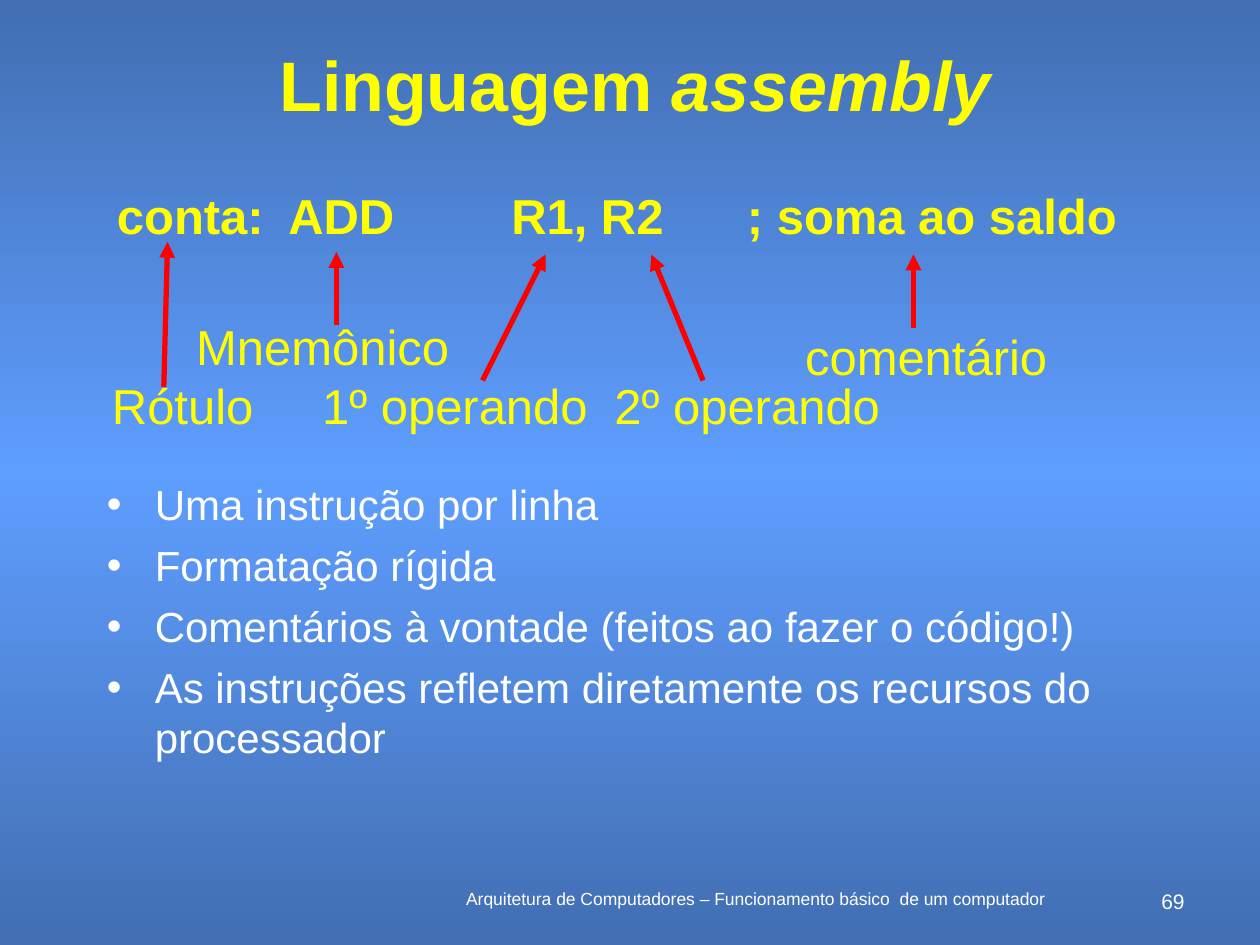
"""Build the slide on the parts of an assembly language instruction."""
from copy import deepcopy

from lxml.etree import SubElement
from pptx import Presentation
from pptx.dml.color import RGBColor
from pptx.enum.shapes import MSO_CONNECTOR
from pptx.enum.text import MSO_ANCHOR, MSO_AUTO_SIZE, PP_ALIGN
from pptx.oxml.ns import qn
from pptx.util import Inches, Pt

COLORS = {
    "edge": "426EB2",
    "middle": "5E9EFF",
    "heading": "FFFF00",
    "body": "FFFFFF",
    "arrow": "FF0000",
}
FONT = "Arial"

TITLE = ["Linguagem ", "assembly"]
INSTRUCTION = ["conta:", "ADD", "R1, R2", "; soma ao saldo"]
INSTRUCTION_TABS = [1.36, 3.13, 5]
LABELS = [
    ("Mnemônico", 1.44, 2.46, 2.24),
    ("1º operando", 2.44, 2.93, 2.34),
    ("2º operando", 4.76, 2.93, 2.34),
    ("comentário", 6.29, 2.54, 2.12),
    ("Rótulo", 0.78, 2.93, 1.34),
]
ARROWS = [
    (2.67, 2.58, 2.67, 2),
    (5.58, 3.02, 5.17, 2.02),
    (3.83, 3.02, 4.33, 2.02),
    (7.25, 2.6, 7.25, 2.02),
    (1.3, 3.07, 1.33, 1.92),
]
RULES = [
    "Uma instrução por linha",
    "Formatação rígida",
    "Comentários à vontade (feitos ao fazer o código!)",
    "As instruções refletem diretamente os recursos do processador",
]
FOOTER = "Arquitetura de Computadores – Funcionamento básico  de um computador"
PAGE_NUMBER = "69"


def format_run(run, size, color, bold=False):
    run.font.name = FONT
    run.font.size = Pt(size)
    run.font.bold = bold
    run.font.color.rgb = RGBColor.from_string(COLORS[color])


def add_text(slide, text, box, size, color, align=PP_ALIGN.LEFT, bold=False):
    frame = slide.shapes.add_textbox(*map(Inches, box)).text_frame
    frame.word_wrap = True
    frame.text = text
    for paragraph in frame.paragraphs:
        paragraph.alignment = align
        for run in paragraph.runs:
            format_run(run, size, color, bold)
    return frame


def paint_background(slide):
    fill = slide.background.fill
    fill.gradient()
    fill.gradient_angle = 90
    stop_list = slide.element.find(".//" + qn("a:gsLst"))
    stop_list.append(deepcopy(stop_list[0]))
    for index, (stop, color) in enumerate(zip(fill.gradient_stops, ["edge", "middle", "edge"])):
        stop.position = index / 2
        stop.color.rgb = RGBColor.from_string(COLORS[color])


def add_title(slide):
    title = slide.shapes.title
    title.left, title.top, title.width, title.height = map(Inches, (0.75, 0.33, 8.58, 0.67))
    frame = title.text_frame
    frame.auto_size = MSO_AUTO_SIZE.NONE
    frame.vertical_anchor = MSO_ANCHOR.MIDDLE
    heading = frame.paragraphs[0]
    heading.alignment = PP_ALIGN.CENTER
    for words in TITLE:
        run = heading.add_run()
        run.text = words
        format_run(run, 40, "heading", bold=True)
    heading.runs[-1].font.italic = True


def add_instruction(slide):
    frame = add_text(slide, "\t".join(INSTRUCTION), (0.83, 1.42, 8.33, 0.57), 28, "heading", bold=True)
    properties = frame.paragraphs[0]._p.get_or_add_pPr()
    tabs = SubElement(properties, qn("a:tabLst"))
    for position in INSTRUCTION_TABS:
        SubElement(tabs, qn("a:tab"), pos=str(Inches(position)), algn="l")


def add_label(slide, label, left, top, width):
    frame = add_text(slide, label, (left, top, width, 0.57), 28, "heading", PP_ALIGN.CENTER)
    frame.word_wrap = False
    frame.auto_size = MSO_AUTO_SIZE.SHAPE_TO_FIT_TEXT


def add_arrow(slide, ends):
    arrow = slide.shapes.add_connector(MSO_CONNECTOR.STRAIGHT, *map(Inches, ends))
    arrow.line.color.rgb = RGBColor.from_string(COLORS["arrow"])
    arrow.line.width = Pt(3)
    SubElement(arrow.line._get_or_add_ln(), qn("a:tailEnd"), type="triangle")
    SubElement(arrow._element.spPr, qn("a:effectLst"))


def add_rules(slide):
    frame = add_text(slide, "\n".join(RULES), (0.75, 3.75, 8.58, 2.92), 24, "body")
    indent = Inches(0.38)
    for paragraph in frame.paragraphs:
        paragraph.space_before = Pt(6)
        properties = paragraph._p.get_or_add_pPr()
        properties.set("marL", str(indent))
        properties.set("indent", str(-indent))
        SubElement(properties, qn("a:buFont"), typeface=FONT)
        SubElement(properties, qn("a:buChar"), char="•")


def main():
    presentation = Presentation()
    presentation.slide_width, presentation.slide_height = Inches(10), Inches(7.5)
    slide = presentation.slides.add_slide(presentation.slide_layouts[5])
    paint_background(slide)
    add_text(slide, FOOTER, (3.33, 7, 5.33, 0.25), 10, "body", PP_ALIGN.CENTER)
    add_text(slide, PAGE_NUMBER, (9.08, 7, 0.42, 0.17), 12, "body", PP_ALIGN.RIGHT)
    add_title(slide)
    add_rules(slide)
    add_instruction(slide)
    for label in LABELS:
        add_label(slide, *label)
    for ends in ARROWS:
        add_arrow(slide, ends)
    presentation.save("out.pptx")


if __name__ == "__main__":
    main()
